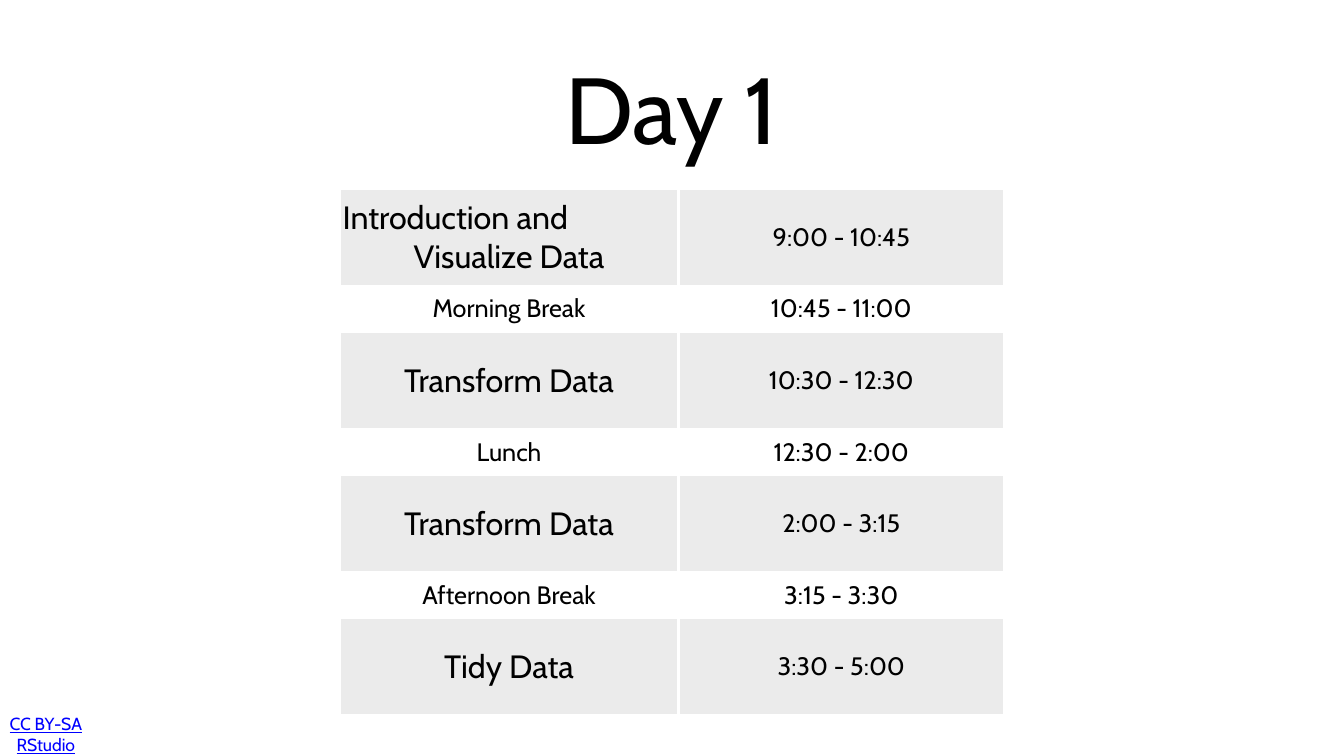
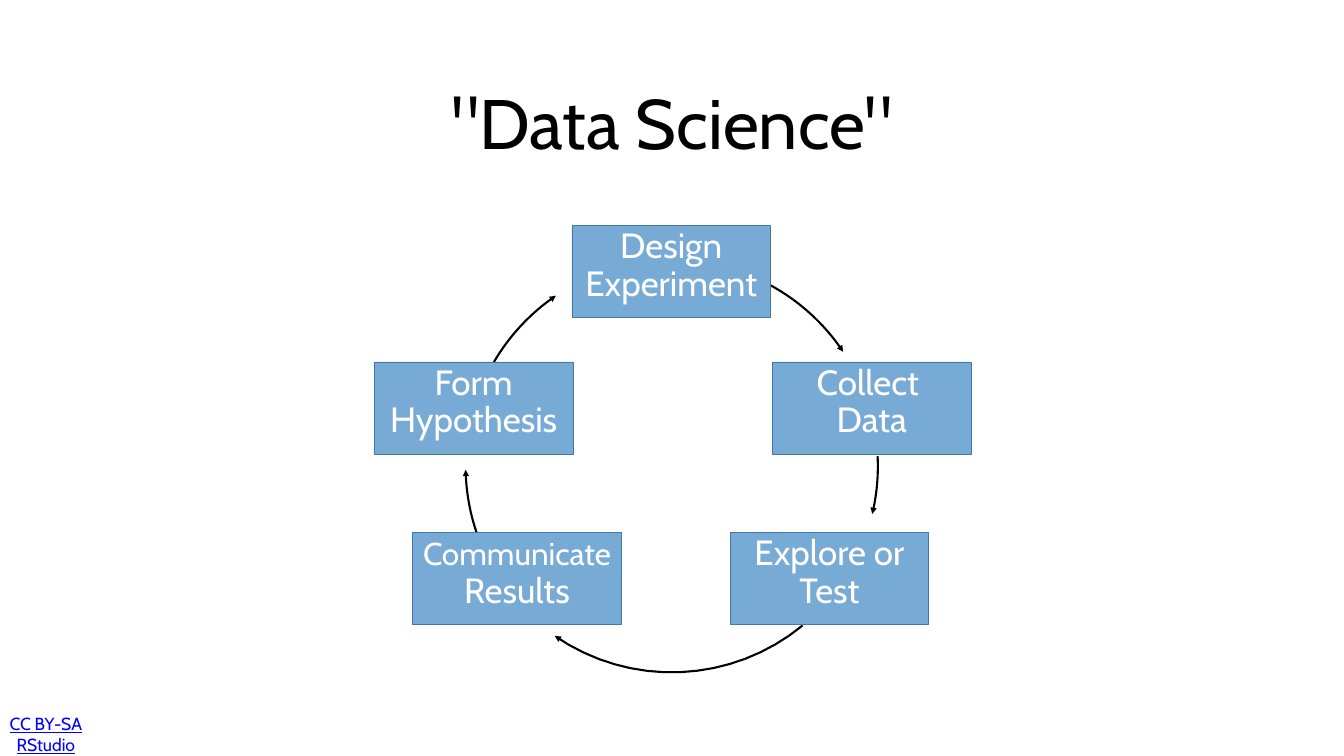
import math
from dataclasses import dataclass

import pptx
import pptx.dml.color
import pptx.enum.shapes
import pptx.enum.text
import pptx.oxml.ns
import pptx.util
from lxml import etree

Inches = pptx.util.Inches
Pt = pptx.util.Pt
ALIGN = pptx.enum.text.PP_ALIGN
ANCHOR = pptx.enum.text.MSO_ANCHOR


@dataclass(frozen=True)
class Theme:
    font: str = "Cabin"
    text: str = "000000"
    link: str = "0000FF"
    light: str = "FFFFFF"
    band: str = "EBEBEB"
    box: str = "78AAD6"
    box_line: str = "407AAA"
    footer_size: int = 25
    break_size: int = 36
    session_size: int = 46
    box_size: int = 50
    inset: float = 0.06


def rgb(value):
    return pptx.dml.color.RGBColor.from_string(value)


def add_child(parent, tag, **attributes):
    return etree.SubElement(parent, pptx.oxml.ns.qn(tag), attributes)


class Deck:
    def __init__(self, theme):
        self.theme = theme
        self.presentation = pptx.Presentation()
        self.presentation.slide_width = Inches(26.67)
        self.presentation.slide_height = Inches(15)
        self.slide = None

    def add_slide(self, title, title_top, title_size):
        layout = self.presentation.slide_layouts[6]
        self.slide = self.presentation.slides.add_slide(layout)
        self.text_box("CC BY-SA RStudio", (0.08, 14.11, 1.66, 0.9),
                      self.theme.footer_size, self.theme.link, underline=True)
        self.text_box(title, (4.38, title_top, 17.9, 2.62), title_size, self.theme.text)

    def style_text(self, text_frame, size, color, line_spacing=None):
        """Centre the paragraphs and give every run the theme font."""
        for paragraph in text_frame.paragraphs:
            paragraph.alignment = ALIGN.CENTER
            paragraph.line_spacing = line_spacing
            for run in paragraph.runs:
                run.font.name = self.theme.font
                run.font.size = Pt(size)
                run.font.color.rgb = rgb(color)

    def set_insets(self, holder):
        inset = Inches(self.theme.inset)
        holder.margin_left = holder.margin_right = inset
        holder.margin_top = holder.margin_bottom = inset

    def text_box(self, text, place, size, color, underline=False):
        shape = self.slide.shapes.add_textbox(*map(Inches, place))
        frame = shape.text_frame
        frame.word_wrap = True
        frame.vertical_anchor = ANCHOR.MIDDLE
        self.set_insets(frame)
        frame.text = text
        self.style_text(frame, size, color)
        if underline:
            frame.paragraphs[0].runs[0].font.underline = True

    def step_box(self, text, left, top, width):
        shape = self.slide.shapes.add_shape(
            pptx.enum.shapes.MSO_SHAPE.RECTANGLE,
            Inches(left), Inches(top), Inches(width), Inches(1.83))
        shape.shadow.inherit = False
        shape.fill.solid()
        shape.fill.fore_color.rgb = rgb(self.theme.box)
        shape.line.color.rgb = rgb(self.theme.box_line)
        shape.line.width = Pt(1)
        frame = shape.text_frame
        frame.word_wrap = True
        frame.vertical_anchor = ANCHOR.TOP
        self.set_insets(frame)
        frame.text = text
        self.style_text(frame, self.theme.box_size, self.theme.light, line_spacing=0.9)
        return frame

    def arc_arrow(self, center, radius, start, end, steps=16):
        """Draw an arrow along a circle; degrees run clockwise from the right."""
        points = []
        for step in range(steps + 1):
            angle = math.radians(start + (end - start) * step / steps)
            points.append((Inches(center[0] + radius * math.cos(angle)),
                           Inches(center[1] + radius * math.sin(angle))))
        builder = self.slide.shapes.build_freeform(*points[0])
        builder.add_line_segments(points[1:], close=False)
        shape = builder.convert_to_shape()
        shape.shadow.inherit = False
        shape.fill.background()
        shape.line.color.rgb = rgb(self.theme.text)
        shape.line.width = Pt(3)
        add_child(shape.line._get_or_add_ln(), "a:tailEnd", type="triangle")

    def schedule_table(self, rows, place, column_widths, session_height, break_height):
        """Sessions and breaks alternate: sessions are tall, large and banded."""
        table = self.slide.shapes.add_table(
            len(rows), len(column_widths), *map(Inches, place)).table
        table.first_row = table.horz_banding = False
        for column, width in zip(table.columns, column_widths):
            column.width = Inches(width)
        for row_index, values in enumerate(rows):
            is_session = row_index % 2 == 0
            table.rows[row_index].height = Inches(
                session_height if is_session else break_height)
            for column_index, value in enumerate(values):
                is_large = is_session and column_index == 0
                size = self.theme.session_size if is_large else self.theme.break_size
                self.fill_cell(table.cell(row_index, column_index), value, size, is_session)
        return table

    def fill_cell(self, cell, text, size, banded):
        cell.text = text
        cell.vertical_anchor = ANCHOR.MIDDLE
        self.set_insets(cell)
        self.style_text(cell.text_frame, size, self.theme.text)
        properties = cell._tc.get_or_add_tcPr()
        for side in ("a:lnL", "a:lnR", "a:lnT", "a:lnB"):
            line = add_child(properties, side, w=str(Pt(5)))
            add_child(add_child(line, "a:solidFill"), "a:srgbClr", val=self.theme.light)
        if banded:
            cell.fill.solid()
            cell.fill.fore_color.rgb = rgb(self.theme.band)
        else:
            cell.fill.background()


def add_schedule(deck):
    deck.add_slide("Day 1", 0.81, 134)
    table = deck.schedule_table(
        [("Introduction and\nVisualize Data", "9:00 - 10:45"),
         ("Morning Break", "10:45 - 11:00"),
         ("Transform Data", "10:30 - 12:30"),
         ("Lunch", "12:30 - 2:00"),
         ("Transform Data", "2:00 - 3:15"),
         ("Afternoon Break", "3:15 - 3:30"),
         ("Tidy Data", "3:30 - 5:00")],
        (6.74, 3.74, 13.19, 10.45), (6.72, 6.47),
        session_height=1.94, break_height=0.9)
    table.cell(0, 0).text_frame.paragraphs[0].alignment = ALIGN.LEFT


def add_cycle(deck):
    deck.add_slide('"Data Science"', 1.1, 100)
    for start, end in ((-61.6, -33.7), (-2.8, 13.4), (50.6, 124.6),
                       (161, 179), (210.2, 235.8)):
        deck.arc_arrow((13.33, 9.25), 4.09, start, end)
    for text, left, top in (("Design Experiment", 11.35, 4.47),
                            ("Form Hypothesis", 7.43, 7.18),
                            ("Collect \nData", 15.33, 7.18),
                            ("Explore or Test", 14.49, 10.56)):
        deck.step_box(text, left, top, 3.94)

    frame = deck.step_box("Communicate", 8.19, 10.56, 4.14)
    paragraph = frame.paragraphs[0]
    paragraph.add_run().text = " Results"
    deck.style_text(frame, deck.theme.box_size, deck.theme.light, line_spacing=0.9)
    paragraph.runs[0].font.size = Pt(45)


def main():
    deck = Deck(Theme())
    add_schedule(deck)
    add_cycle(deck)
    deck.presentation.save("out.pptx")


if __name__ == "__main__":
    main()
